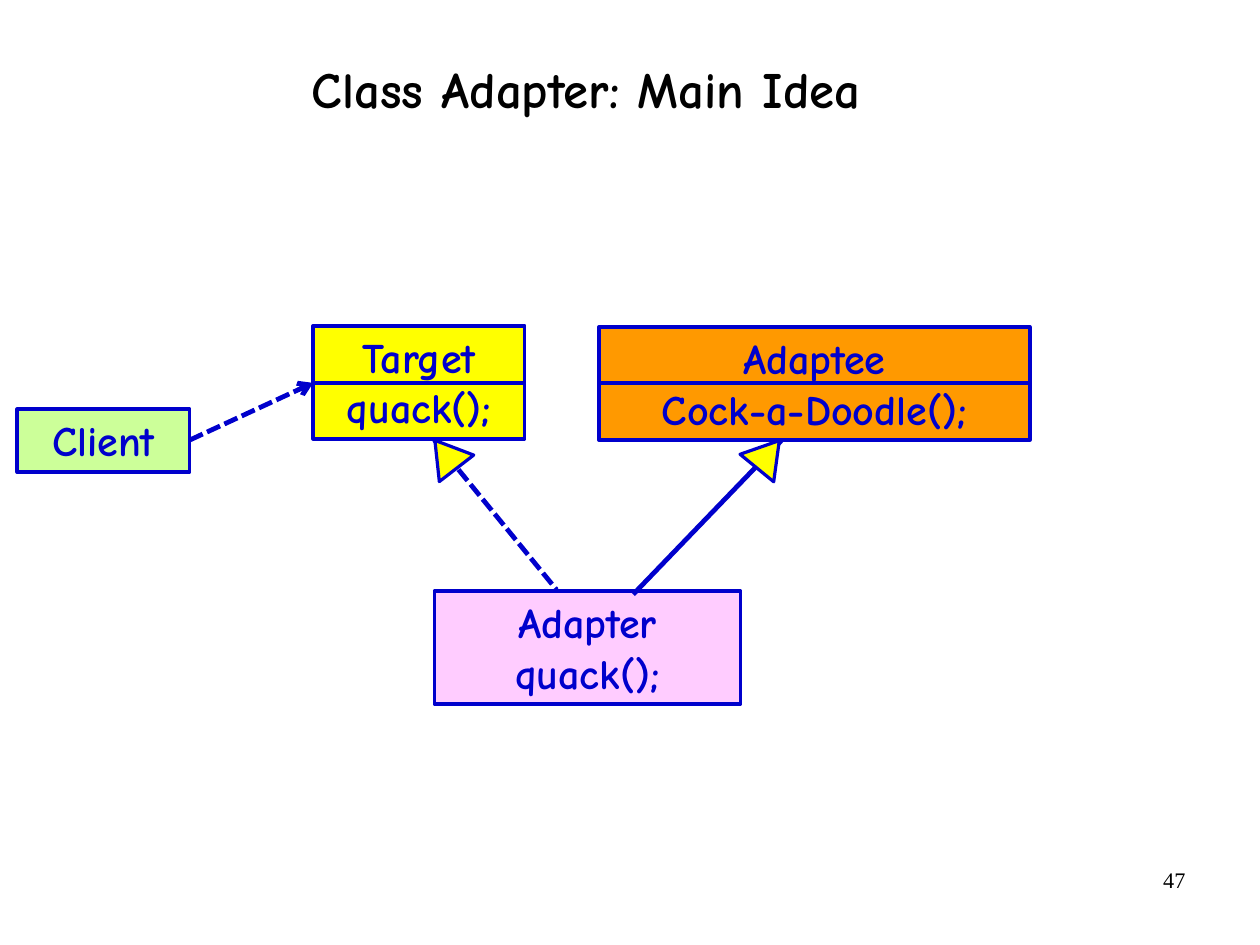
from lxml import etree
from pptx import Presentation
from pptx.dml.color import RGBColor
from pptx.enum import dml, shapes, text
from pptx.oxml import ns
from pptx.util import Inches, Pt

COLORS = {"ink": "0000CC", "black": "000000", "target": "FFFF00",
          "adaptee": "FF9900", "adapter": "FFCCFF", "client": "CCFF99"}
COMIC = "Comic Neue"
CM_PER_INCH = 2.54


def write(s, lines, size, color, font=COMIC, bold=True, align=text.PP_ALIGN.CENTER):
    """Fill a shape with one paragraph per line and return its text frame."""
    tf = s.text_frame
    tf.word_wrap = True
    tf.text = "\n".join(lines)
    for p in tf.paragraphs:
        p.alignment = align
        for r in p.runs:
            r.font.name, r.font.size, r.font.bold = font, Pt(size), bold
            r.font.color.rgb = RGBColor.from_string(COLORS[color])
    return tf


def paint(s, fill, width):
    """Give a shape a flat fill and an ink outline."""
    s.shadow.inherit = False
    s.fill.solid()
    s.fill.fore_color.rgb = RGBColor.from_string(COLORS[fill])
    s.line.color.rgb = RGBColor.from_string(COLORS["ink"])
    s.line.width = Pt(width)


prs = Presentation()
prs.slide_width = Inches(28 / CM_PER_INCH)
prs.slide_height = Inches(21 / CM_PER_INCH)
slide = prs.slides.add_slide(prs.slide_layouts[6])

number = slide.shapes.add_textbox(Inches(7.9), Inches(7.53), Inches(2.57), Inches(0.57))
write(number, ["47"], 14, "black", "Times New Roman", False, text.PP_ALIGN.RIGHT)

title = slide.shapes.add_textbox(Inches(0.17), Inches(0.29), Inches(9.92), Inches(1.03))
tf = write(title, ["Class Adapter: Main Idea"], 32, "black")
tf.vertical_anchor = text.MSO_ANCHOR.MIDDLE
tf.margin_left = tf.margin_right = tf.margin_top = tf.margin_bottom = 0
tf.paragraphs[0].line_spacing = 0.88

# Class boxes: fill, left, top, width, height, lines
classes = [
    ("target", 2.74, 2.85, 1.85, 0.99, ["Target", "quack();"]),
    ("adaptee", 5.24, 2.86, 3.77, 0.99, ["Adaptee", "Cock-a-Doodle();"]),
    ("adapter", 3.8, 5.17, 2.68, 0.99, ["Adapter", "quack();"]),
    ("client", 0.15, 3.58, 1.51, 0.55, ["Client"]),
]
for fill, left, top, width, height, lines in classes:
    s = slide.shapes.add_shape(shapes.MSO_SHAPE.RECTANGLE, Inches(left), Inches(top),
                               Inches(width), Inches(height))
    paint(s, fill, 2.25)
    tf = write(s, lines, 26.5, "ink")
    tf.vertical_anchor = text.MSO_ANCHOR.TOP
    tf.auto_size = text.MSO_AUTO_SIZE.SHAPE_TO_FIT_TEXT

# Relations and dividers: start, end, width, dashed, arrow
links = [
    ((1.66, 3.85), (2.74, 3.35), 3, True, True),
    ((3.8, 3.85), (4.87, 5.16), 3, True, False),
    ((2.74, 3.35), (4.6, 3.35), 2.25, False, False),
    ((5.24, 3.35), (9.01, 3.35), 2.25, False, False),
    ((5.54, 5.2), (6.84, 3.85), 3, False, False),
]
for start, end, width, dashed, arrow in links:
    c = slide.shapes.add_connector(shapes.MSO_CONNECTOR.STRAIGHT,
                                   *map(Inches, start + end))
    c.line.color.rgb = RGBColor.from_string(COLORS["ink"])
    c.line.width = Pt(width)
    if dashed:
        c.line.dash_style = dml.MSO_LINE.SQUARE_DOT
    if arrow:
        ln = c._element.spPr.find(ns.qn("a:ln"))
        etree.SubElement(ln, ns.qn("a:tailEnd"), type="arrow")
    etree.SubElement(c._element.spPr, ns.qn("a:effectLst"))

# Inheritance arrowheads
for left, angle in [(3.71, 322.4), (6.53, 39.3)]:
    s = slide.shapes.add_shape(shapes.MSO_SHAPE.ISOSCELES_TRIANGLE, Inches(left),
                               Inches(3.82), Inches(0.38), Inches(0.31))
    s.rotation = angle
    paint(s, "target", 2)

prs.save("out.pptx")
